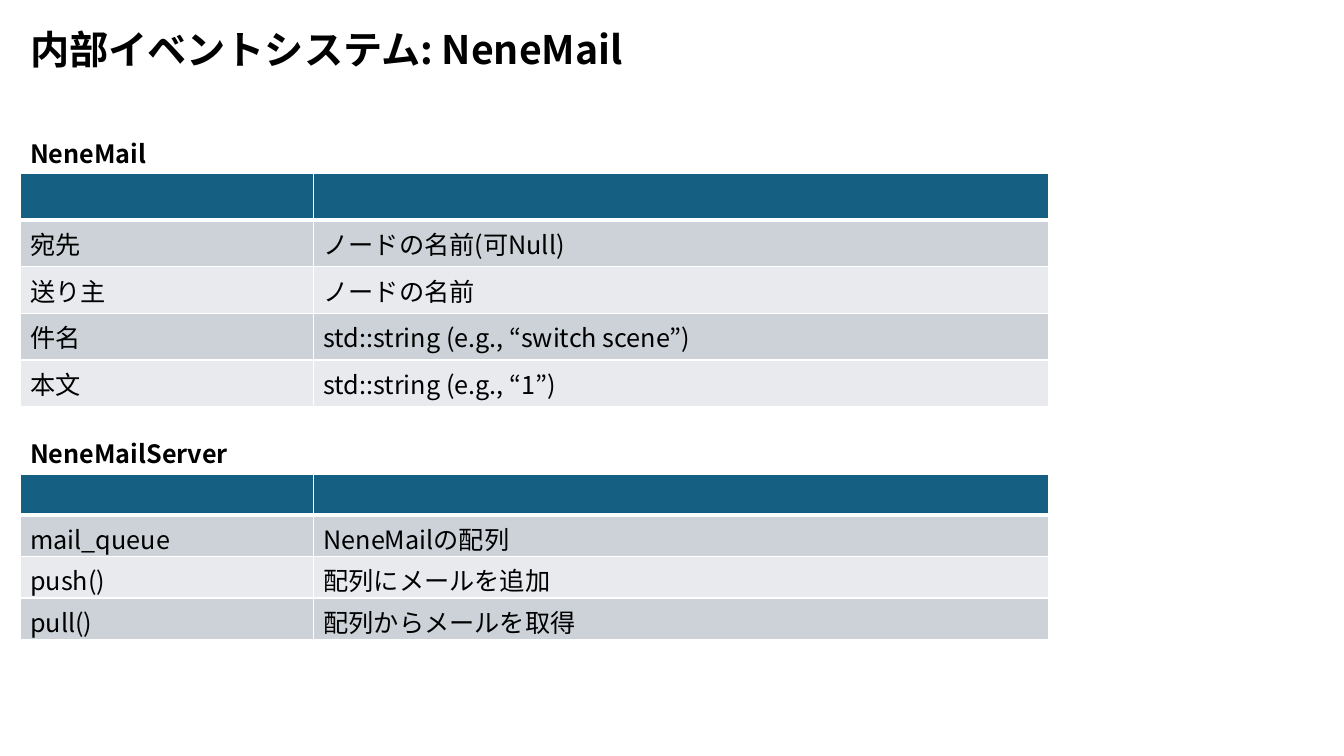
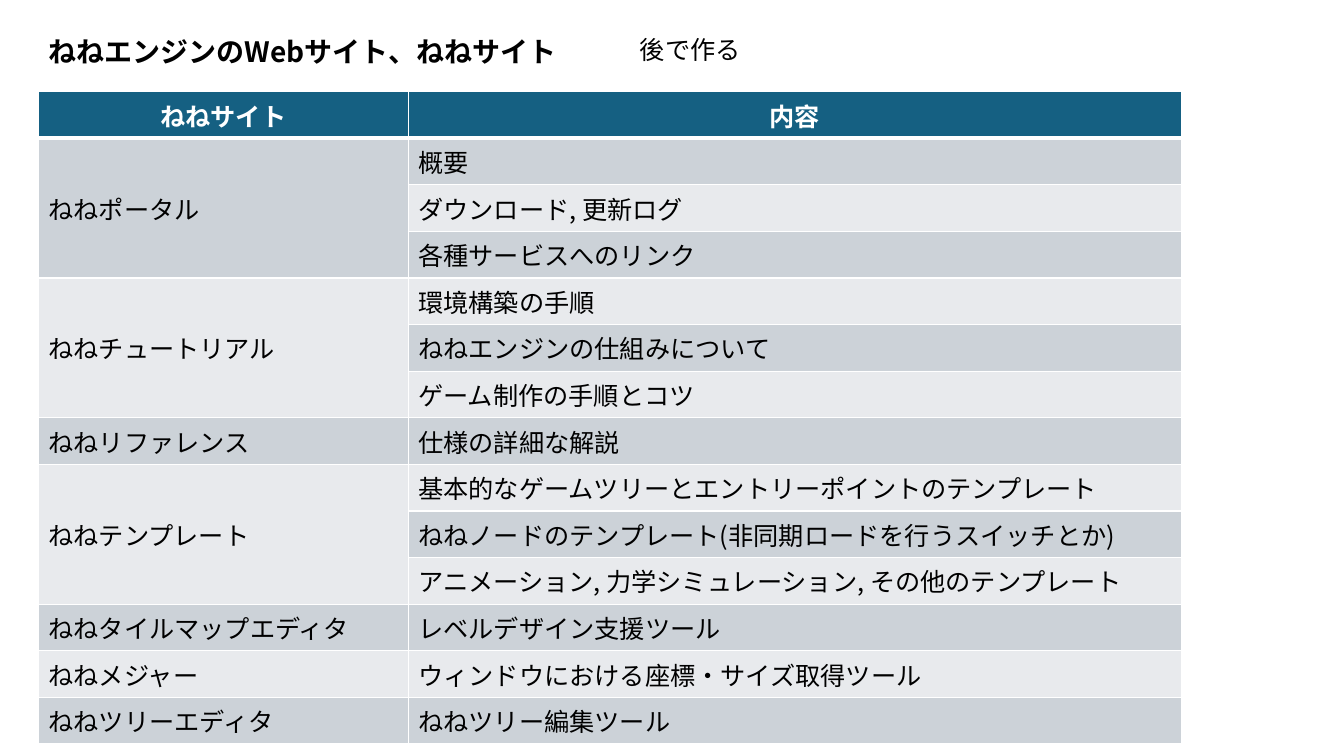
from lxml import etree
from pptx import Presentation
from pptx.dml.color import RGBColor
from pptx.enum.text import MSO_ANCHOR, PP_ALIGN
from pptx.oxml.ns import qn
from pptx.util import Pt

TOP, MIDDLE = MSO_ANCHOR.TOP, MSO_ANCHOR.MIDDLE
LEFT, CENTER = PP_ALIGN.LEFT, PP_ALIGN.CENTER

# Shared style
FONT = "Noto Sans CJK JP"
BODY_SIZE = 18
BLACK, WHITE = "000000", "FFFFFF"
HEADER_FILL = "156082"
BAND_FILLS = ("CCD2D8", "E8EAED")

# Content: each group is (first column, [second column, ...])
MAIL_GROUPS = [
    ("宛先", ["ノードの名前(可Null)"]),
    ("送り主", ["ノードの名前"]),
    ("件名", ["std::string (e.g., “switch scene”)"]),
    ("本文", ["std::string (e.g., “1”)"]),
]
SERVER_GROUPS = [
    ("mail_queue", ["NeneMailの配列"]),
    ("push()", ["配列にメールを追加"]),
    ("pull()", ["配列からメールを取得"]),
]
SITE_GROUPS = [
    ("ねねポータル", ["概要", "ダウンロード, 更新ログ", "各種サービスへのリンク"]),
    ("ねねチュートリアル", ["環境構築の手順", "ねねエンジンの仕組みについて",
                   "ゲーム制作の手順とコツ"]),
    ("ねねリファレンス", ["仕様の詳細な解説"]),
    ("ねねテンプレート", ["基本的なゲームツリーとエントリーポイントのテンプレート",
                  "ねねノードのテンプレート(非同期ロードを行うスイッチとか)",
                  "アニメーション, 力学シミュレーション, その他のテンプレート"]),
    ("ねねタイルマップエディタ", ["レベルデザイン支援ツール"]),
    ("ねねメジャー", ["ウィンドウにおける座標・サイズ取得ツール"]),
    ("ねねツリーエディタ", ["ねねツリー編集ツール"]),
]

# Places in points; labels are (text, left, top, width, height, size, bold)
PAGES = [
    {
        "labels": [
            ("内部イベントシステム: NeneMail", 14.4, 14.4, 535.7, 41, 28, True),
            ("NeneMail", 14.4, 95, 172, 28.8, BODY_SIZE, True),
            ("NeneMailServer", 14.4, 309.6, 172, 28.8, BODY_SIZE, True),
        ],
        "tables": [
            {"groups": MAIL_GROUPS, "header": ("", ""), "at": (14.4, 124),
             "columns": (209.5, 524.9), "row": 33.3, "anchor": TOP},
            {"groups": SERVER_GROUPS, "header": ("", ""), "at": (14.4, 338.6),
             "columns": (209.5, 524.9), "row": 29.2, "anchor": TOP,
             "bottom_margin": 0},
        ],
    },
    {
        "labels": [
            ("ねねエンジンのWebサイト、ねねサイト", 27.4, 20.9, 437.8, 31.7, 20, True),
            ("後で作る", 450, 20.9, 128.2, 28.8, BODY_SIZE, False),
        ],
        "tables": [
            {"groups": SITE_GROUPS, "header": ("ねねサイト", "内容"), "at": (27.4, 65.5),
             "columns": (264.2, 552.2), "row": 33.3, "anchor": MIDDLE},
        ],
    },
]


def rgb(value):
    return RGBColor.from_string(value)


def style_text(frame, size, color, bold, align=LEFT):
    for para in frame.paragraphs:
        para.alignment = align
        for span in para.runs:
            span.font.size = Pt(size)
            span.font.bold = bold
            span.font.color.rgb = rgb(color)
            span.font.name = FONT
            east_asian = etree.SubElement(span.font._element, qn("a:ea"))
            east_asian.set("typeface", FONT)


def add_label(page, text, left, top, width, height, size, bold):
    box = page.shapes.add_textbox(Pt(left), Pt(top), Pt(width), Pt(height))
    box.text_frame.word_wrap = True
    box.text_frame.text = text
    style_text(box.text_frame, size, BLACK, bold)


def set_borders(cell, widths):
    properties = cell._tc.get_or_add_tcPr()
    for index, (side, width) in enumerate(widths.items()):
        line = etree.Element(qn(f"a:ln{side}"), w=str(Pt(width)))
        fill = etree.SubElement(line, qn("a:solidFill"))
        etree.SubElement(fill, qn("a:srgbClr"), val=WHITE)
        properties.insert(index, line)


def style_cell(cell, row, anchor, bottom_margin):
    is_header = row == 0
    cell.fill.solid()
    cell.fill.fore_color.rgb = rgb(HEADER_FILL if is_header else BAND_FILLS[(row - 1) % 2])
    cell.vertical_anchor = anchor
    cell.margin_bottom = Pt(bottom_margin)
    set_borders(cell, {"L": 1, "R": 1, "T": 3 if row == 1 else 1, "B": 3 if is_header else 1})
    style_text(cell.text_frame, BODY_SIZE, WHITE if is_header else BLACK,
               is_header, CENTER if is_header else LEFT)


def add_grid(page, groups, header, at, columns, row, anchor, bottom_margin=3.6):
    row_count = 1 + sum(len(details) for _, details in groups)
    left, top = at
    table = page.shapes.add_table(row_count, len(columns), Pt(left), Pt(top),
                                  Pt(sum(columns)), Pt(row * row_count)).table
    for column, width in zip(table.columns, columns):
        column.width = Pt(width)
    for table_row in table.rows:
        table_row.height = Pt(row)

    # Header, then one merged first cell for each group
    for index, text in enumerate(header):
        table.cell(0, index).text = text
    start = 1
    for name, details in groups:
        table.cell(start, 0).text = name
        for offset, detail in enumerate(details):
            table.cell(start + offset, 1).text = detail
        if len(details) > 1:
            table.cell(start, 0).merge(table.cell(start + len(details) - 1, 0))
        start += len(details)

    for row_index in range(row_count):
        for column_index in range(len(columns)):
            style_cell(table.cell(row_index, column_index), row_index, anchor, bottom_margin)


def main():
    deck = Presentation()
    deck.slide_width, deck.slide_height = Pt(960), Pt(540)
    for content in PAGES:
        page = deck.slides.add_slide(deck.slide_layouts[6])
        for table in content["tables"]:
            add_grid(page, **table)
        for label in content["labels"]:
            add_label(page, *label)
    deck.save("out.pptx")


if __name__ == "__main__":
    main()
